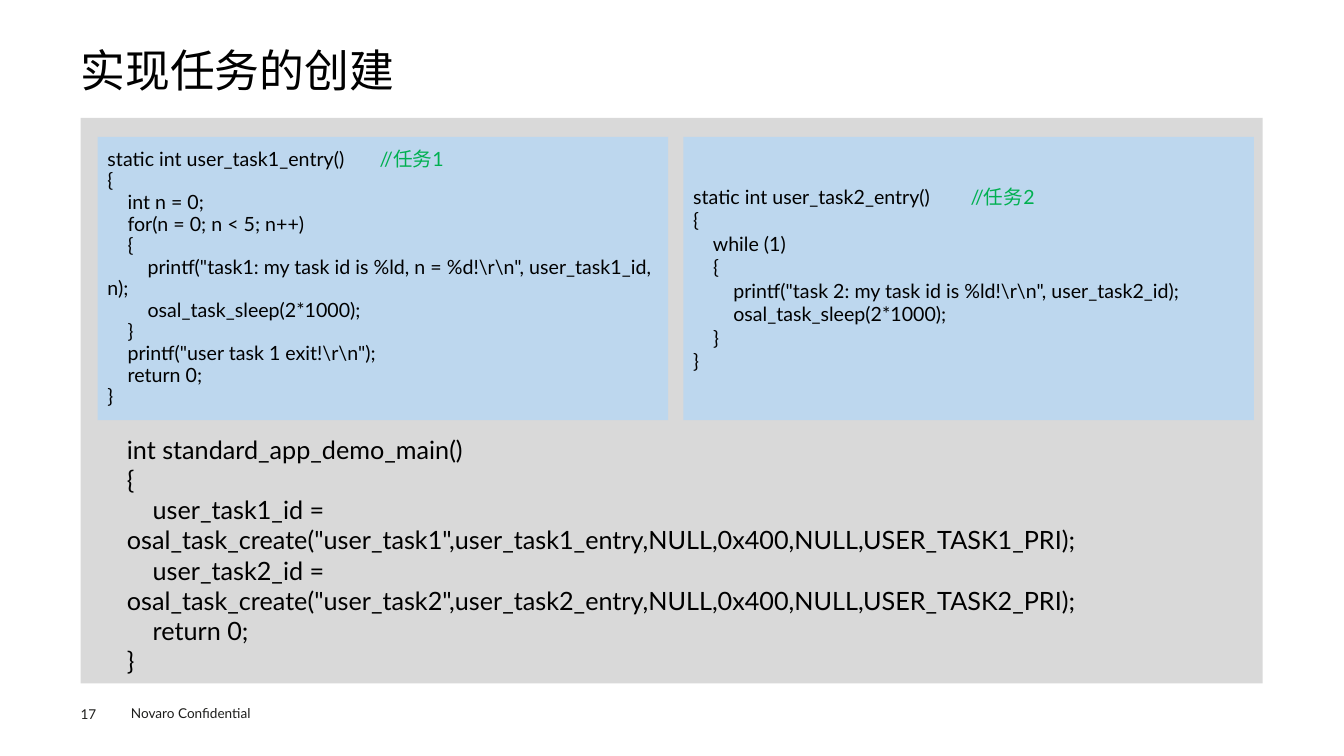
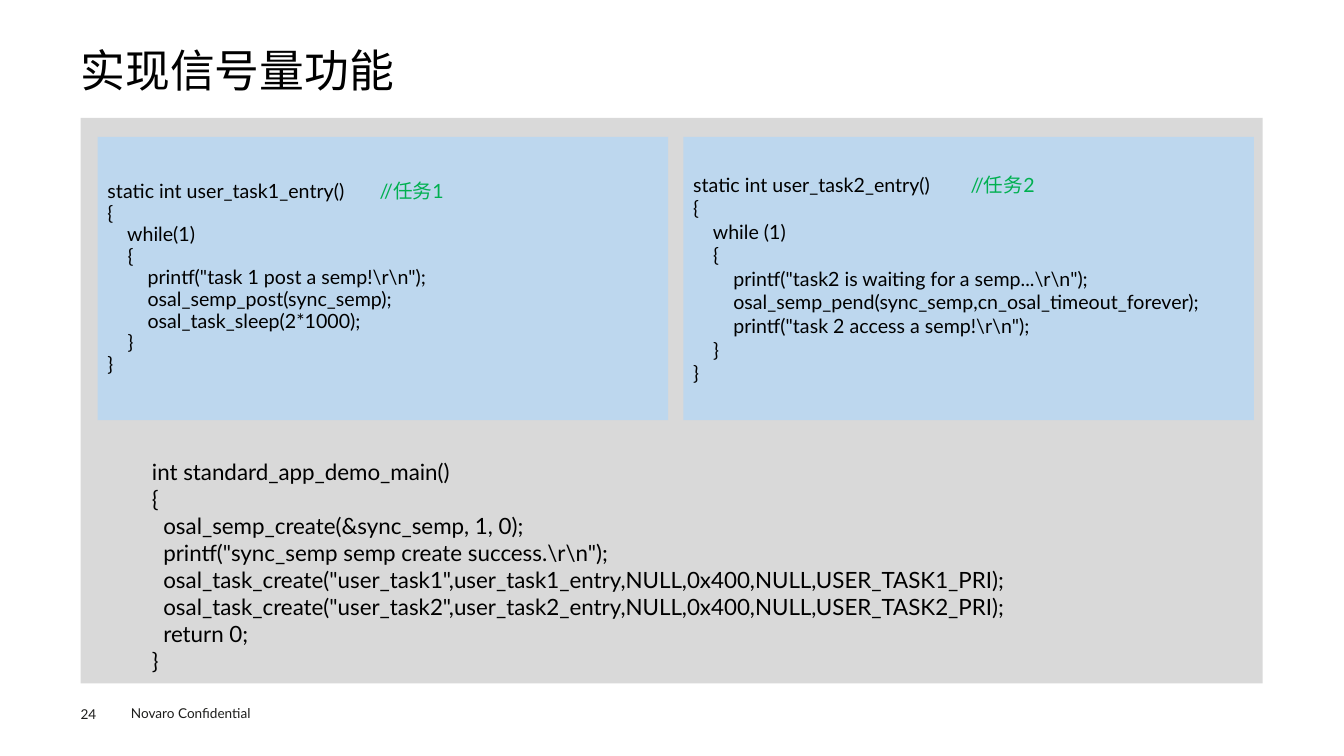
"""Build two slides that list task creation and semaphore code."""
from dataclasses import dataclass

from lxml import etree
from pptx import Presentation
from pptx.dml.color import RGBColor
from pptx.enum.shapes import MSO_SHAPE
from pptx.enum.text import MSO_ANCHOR, PP_ALIGN
from pptx.oxml.ns import qn
from pptx.util import Cm, Pt

RECTANGLE = MSO_SHAPE.RECTANGLE
TOP, MIDDLE = MSO_ANCHOR.TOP, MSO_ANCHOR.MIDDLE
LEFT = PP_ALIGN.LEFT

FONT = "Lato"
COLORS = {
    "text": "000000",
    "comment": "00B050",
    "footer": "1D1D1B",
    "backdrop": "D9D9D9",
    "panel": "BDD7EE",
}
TITLE_ONLY = 5
MARGIN = 2.03
CONTENT_WIDTH = 29.79
PANEL_LEFT, PANEL_TOP = 2.46, 3.45
PANEL_WIDTH, PANEL_HEIGHT = 14.38, 7.14
PANEL_GAP = 0.38


@dataclass(frozen=True)
class Box:
    left: float
    top: float
    width: float
    height: float

    def lengths(self) -> tuple:
        return Cm(self.left), Cm(self.top), Cm(self.width), Cm(self.height)


@dataclass(frozen=True)
class PanelStyle:
    comment: str
    comment_tab: float
    line_spacing: float
    space_before: float


@dataclass(frozen=True)
class CodeSlide:
    number: int
    title: str
    tasks: tuple
    main_code: str
    main_box: Box
    main_size: float


TITLE_BOX = Box(MARGIN, 1.24, CONTENT_WIDTH, 1.35)
BACKDROP_BOX = Box(MARGIN, 2.97, CONTENT_WIDTH, 14.25)
NUMBER_BOX = Box(MARGIN, 17.78, 1.4, 0.41)
FOOTER_BOX = Box(3.05, 17.65, 4.06, 0.69)
PANEL_STYLES = (
    PanelStyle("//任务1", 6.86, 0.9, 0.3),
    PanelStyle("//任务2", 6.99, 1.0, 0),
)

SLIDES = (
    CodeSlide(
        17,
        "实现任务的创建",
        (
            r"""static int user_task1_entry()
{
    int n = 0;
    for(n = 0; n < 5; n++)
    {
        printf("task1: my task id is %ld, n = %d!\r\n", user_task1_id, n);
        osal_task_sleep(2*1000);
    }
    printf("user task 1 exit!\r\n");
    return 0;
}""",
            r"""static int user_task2_entry()
{
    while (1)
    {
        printf("task 2: my task id is %ld!\r\n", user_task2_id);
        osal_task_sleep(2*1000);
    }
}""",
        ),
        r"""int standard_app_demo_main()
{
    user_task1_id = osal_task_create("user_task1",user_task1_entry,NULL,0x400,NULL,USER_TASK1_PRI);
    user_task2_id = osal_task_create("user_task2",user_task2_entry,NULL,0x400,NULL,USER_TASK2_PRI);
    return 0;
}""",
        Box(2.95, 11.51, 28.32, 4.95),
        18,
    ),
    CodeSlide(
        24,
        "实现信号量功能",
        (
            r"""static int user_task1_entry()
{
    while(1)
    {
        printf("task 1 post a semp!\r\n");
        osal_semp_post(sync_semp);
        osal_task_sleep(2*1000);
    }
}""",
            r"""static int user_task2_entry()
{
    while (1)
    {
        printf("task2 is waiting for a semp...\r\n");
        osal_semp_pend(sync_semp,cn_osal_timeout_forever);
        printf("task 2 access a semp!\r\n");
    }
}""",
        ),
        r"""int standard_app_demo_main()
{
  osal_semp_create(&sync_semp, 1, 0);
  printf("sync_semp semp create success.\r\n");
  osal_task_create("user_task1",user_task1_entry,NULL,0x400,NULL,USER_TASK1_PRI);
  osal_task_create("user_task2",user_task2_entry,NULL,0x400,NULL,USER_TASK2_PRI);
  return 0;
}""",
        Box(3.58, 11.61, 26.72, 5.31),
        16,
    ),
)


def add_run(paragraph, text: str, size: float, color: str) -> None:
    run = paragraph.add_run()
    run.text = text
    run.font.size = Pt(size)
    run.font.color.rgb = RGBColor.from_string(COLORS[color])
    run.font.name = FONT
    east_asian = etree.SubElement(run._r.get_or_add_rPr(), qn("a:ea"))
    east_asian.set("typeface", FONT)


def add_tab(paragraph, position: float) -> None:
    tabs = etree.SubElement(paragraph._p.get_or_add_pPr(), qn("a:tabLst"))
    tab = etree.SubElement(tabs, qn("a:tab"))
    tab.set("pos", str(int(Cm(position))))
    tab.set("algn", "l")


def write(frame, text: str, *, size: float, color: str = "text", anchor=TOP,
          line_spacing: float = 1.0, space_before: float = 0,
          comment: str = "", comment_tab: float = 0, inset: bool = True) -> None:
    frame.word_wrap = True
    frame.vertical_anchor = anchor
    if not inset:
        frame.margin_left = frame.margin_right = 0
        frame.margin_top = frame.margin_bottom = 0
    for index, line in enumerate(text.split("\n")):
        paragraph = frame.add_paragraph() if index else frame.paragraphs[0]
        has_comment = bool(comment) and index == 0
        if has_comment:
            add_tab(paragraph, comment_tab)
        paragraph.alignment = LEFT
        paragraph.line_spacing = line_spacing
        paragraph.space_before = Pt(space_before if index else 0)
        add_run(paragraph, line, size, color)
        if has_comment:
            add_run(paragraph, "\t" + comment, size, "comment")


def add_rectangle(slide, box: Box, color: str):
    rectangle = slide.shapes.add_shape(RECTANGLE, *box.lengths())
    rectangle.shadow.inherit = False
    rectangle.fill.solid()
    rectangle.fill.fore_color.rgb = RGBColor.from_string(COLORS[color])
    rectangle.line.fill.background()
    return rectangle


def add_text(slide, box: Box, text: str, **text_format) -> None:
    write(slide.shapes.add_textbox(*box.lengths()).text_frame, text, **text_format)


def add_frame(slide, content: CodeSlide) -> None:
    title = slide.shapes.title
    title.left, title.top, title.width, title.height = TITLE_BOX.lengths()
    write(title.text_frame, content.title, size=32, line_spacing=0.9, inset=False)
    add_text(slide, FOOTER_BOX, "Novaro Confidential", size=9.7, color="footer")
    add_text(slide, NUMBER_BOX, str(content.number), size=9.7, color="footer",
             inset=False)
    add_rectangle(slide, BACKDROP_BOX, "backdrop")


def add_task_panels(slide, tasks: tuple) -> None:
    for column, (code, style) in enumerate(zip(tasks, PANEL_STYLES)):
        left = PANEL_LEFT + column * (PANEL_WIDTH + PANEL_GAP)
        box = Box(left, PANEL_TOP, PANEL_WIDTH, PANEL_HEIGHT)
        panel = add_rectangle(slide, box, "panel")
        write(panel.text_frame, code, size=14, anchor=MIDDLE,
              line_spacing=style.line_spacing, space_before=style.space_before,
              comment=style.comment, comment_tab=style.comment_tab)


def main() -> None:
    deck = Presentation()
    deck.slide_width, deck.slide_height = Cm(33.87), Cm(19.05)
    for content in SLIDES:
        slide = deck.slides.add_slide(deck.slide_layouts[TITLE_ONLY])
        add_frame(slide, content)
        add_task_panels(slide, content.tasks)
        add_text(slide, content.main_box, content.main_code,
                 size=content.main_size, anchor=MIDDLE)
    deck.save("out.pptx")


if __name__ == "__main__":
    main()
